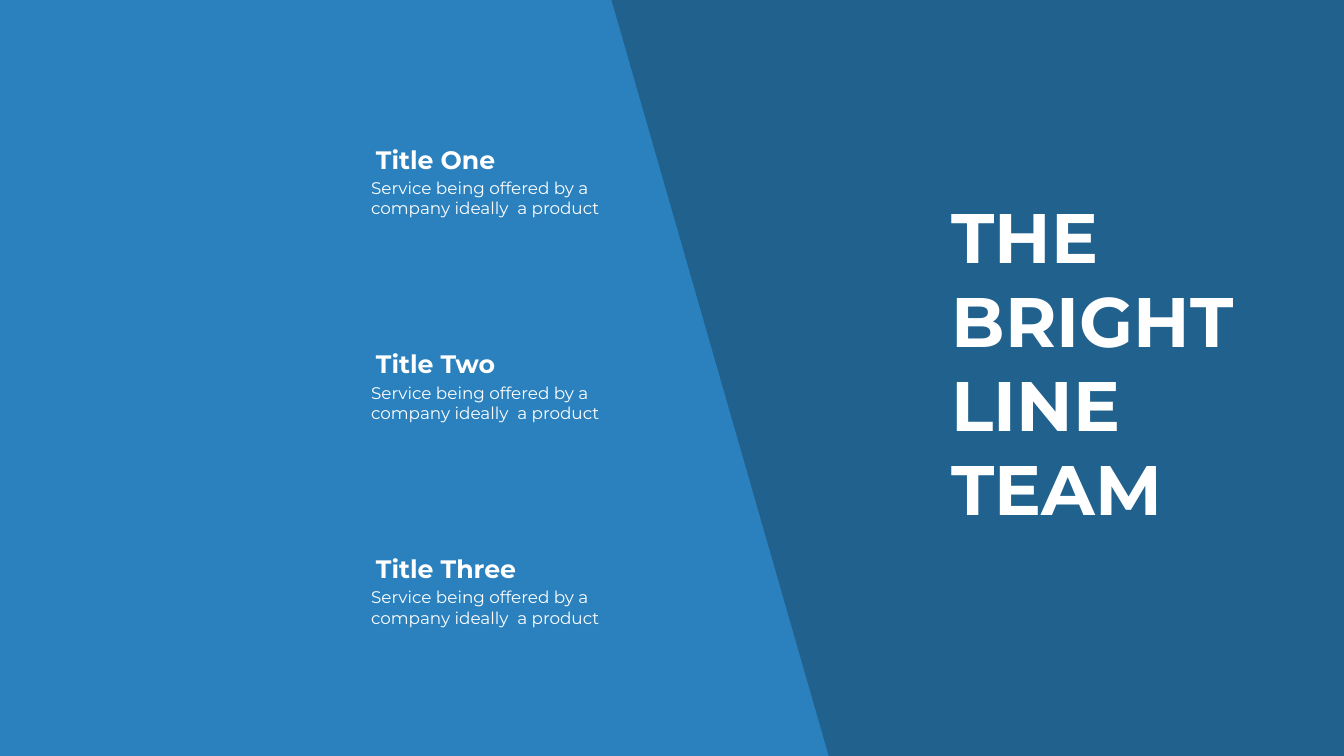
from pptx import Presentation
from pptx.dml.color import RGBColor
from pptx.enum.shapes import MSO_SHAPE as Kind
from pptx.enum.text import MSO_AUTO_SIZE as Fit
from pptx.util import Inches, Pt

WIDE, HIGH = 26.66, 15
BLUE, NAVY, WHITE = "2B81BE", "20618E", "FFFFFF"
FONT = "Montserrat"

HEAD = ["THE", "BRIGHT", "LINE", "TEAM"]
NOTE = "Service being offered by a company ideally  a product"
ITEMS = [("Title One", 2.7), ("Title Two", 2.7), ("Title Three", 3.03)]

LEFT, TOP, STEP = 7.36, 2.81, 4.06
EDGE_TOP, EDGE_LOW = 12.13, 16.44


def color(code):
    return RGBColor.from_string(code)


def paint(shape, code):
    shape.fill.solid()
    shape.fill.fore_color.rgb = color(code)
    shape.line.fill.background()
    shape.shadow.inherit = False


def write(slide, lines, area, size, bold=False, wrap=True, pad=(0.1, 0.05)):
    """Add a text box with one paragraph per line."""
    box = slide.shapes.add_textbox(*map(Inches, area))
    frame = box.text_frame
    side, end = map(Inches, pad)
    form = {"word_wrap": wrap, "auto_size": Fit.SHAPE_TO_FIT_TEXT,
            "margin_left": side, "margin_right": side,
            "margin_top": end, "margin_bottom": end}
    for name, value in form.items():
        setattr(frame, name, value)
    frame.text = "\n".join(lines)
    style = {"name": FONT, "size": Pt(size), "bold": bold}
    for para in frame.paragraphs:
        for run in para.runs:
            for name, value in style.items():
                setattr(run.font, name, value)
            run.font.color.rgb = color(WHITE)


def main():
    deck = Presentation()
    deck.slide_width, deck.slide_height = Inches(WIDE), Inches(HIGH)
    slide = deck.slides.add_slide(deck.slide_layouts[6])
    shapes = slide.shapes

    back = shapes.add_shape(Kind.RECTANGLE, 0, 0, Inches(WIDE), Inches(HIGH))
    paint(back, BLUE)

    pen = shapes.build_freeform(Inches(EDGE_TOP), 0)
    corners = [(WIDE, 0), (WIDE, HIGH), (EDGE_LOW, HIGH)]
    pen.add_line_segments([(Inches(x), Inches(y)) for x, y in corners])
    paint(pen.convert_to_shape(), NAVY)

    write(slide, HEAD, (18.78, 3.79, 6.85, 6.83), 100, bold=True)
    for row, (title, width) in enumerate(ITEMS):
        top = TOP + row * STEP
        write(slide, [title], (LEFT, top, width, 0.71), 36, bold=True, wrap=False)
        write(slide, [NOTE], (LEFT - 0.24, top + 0.6, 5.53, 1.05), 24,
              pad=(0.24, 0.12))

    deck.save("out.pptx")


if __name__ == "__main__":
    main()
